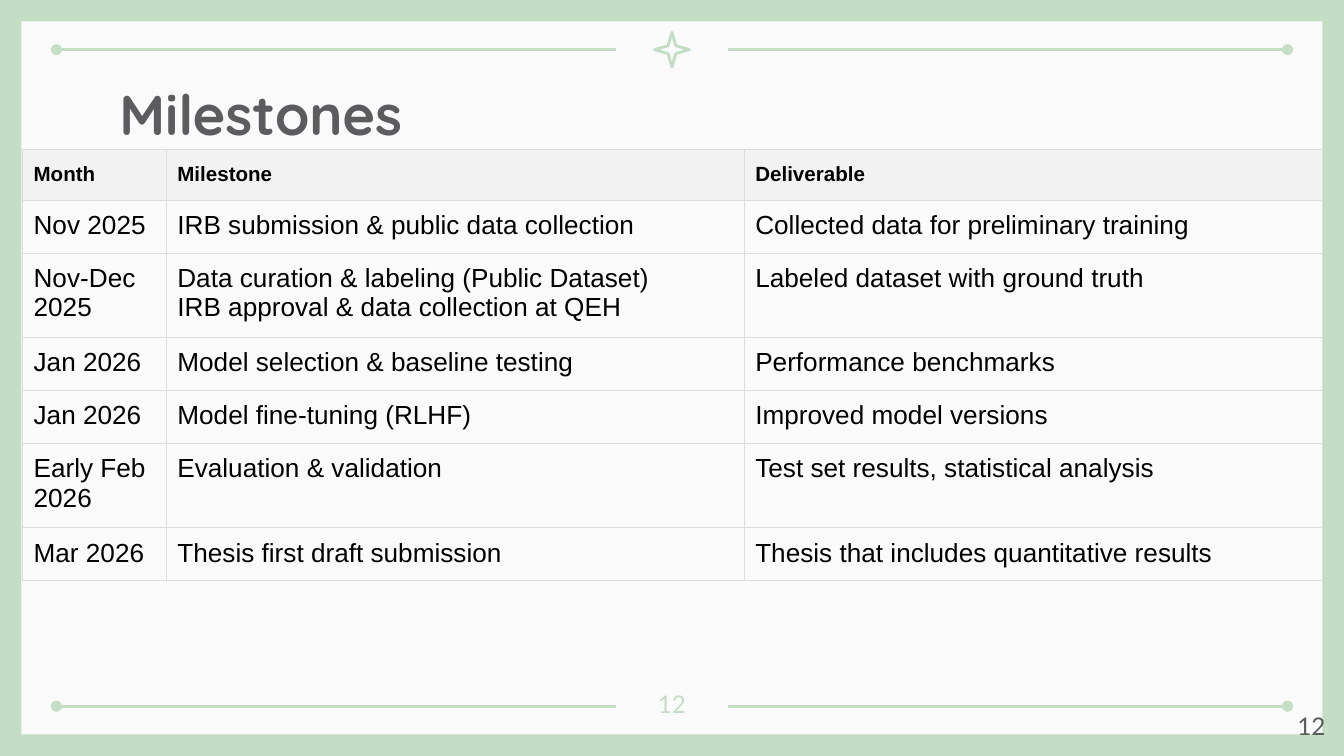
import pptx
import pptx.util
import pptx.dml.color
import pptx.enum.shapes
import pptx.enum.text
import pptx.oxml
import pptx.oxml.ns
from lxml import etree

Inches = pptx.util.Inches
Pt = pptx.util.Pt
RGBColor = pptx.dml.color.RGBColor
Shape = pptx.enum.shapes.MSO_SHAPE
Align = pptx.enum.text.PP_ALIGN
qn = pptx.oxml.ns.qn

SAGE = RGBColor(0xC4, 0xDD, 0xC5)
PAPER = RGBColor(0xFA, 0xFA, 0xFA)
GREY = RGBColor(0x5C, 0x5C, 0x5F)
BLACK = RGBColor(0, 0, 0)
HEADER_FILL = RGBColor(0xF2, 0xF2, 0xF2)
BORDER = RGBColor(0xDD, 0xDD, 0xDD)

WIDTH = 10
HEIGHT = WIDTH * 9 / 16
MARGIN = 0.16
PAGE = "12"

MILESTONES = [
    ("Month", "Milestone", "Deliverable"),
    ("Nov 2025", "IRB submission & public data collection",
     "Collected data for preliminary training"),
    ("Nov-Dec 2025",
     "Data curation & labeling (Public Dataset)\nIRB approval & data collection at QEH",
     "Labeled dataset with ground truth"),
    ("Jan 2026", "Model selection & baseline testing", "Performance benchmarks"),
    ("Jan 2026", "Model fine-tuning (RLHF)", "Improved model versions"),
    ("Early Feb 2026", "Evaluation & validation",
     "Test set results, statistical analysis"),
    ("Mar 2026", "Thesis first draft submission",
     "Thesis that includes quantitative results"),
]


def set_font(paragraph, name, size, color, bold=False):
    font = paragraph.font
    font.name, font.size, font.bold = name, Pt(size), bold
    font.color.rgb = color


def add_label(slide, box, text, font, size, color, bold=False, align=Align.LEFT):
    frame = slide.shapes.add_textbox(*map(Inches, box)).text_frame
    frame.word_wrap = True
    frame.margin_left = frame.margin_right = Inches(0.1)
    frame.margin_top = frame.margin_bottom = Inches(0.1)
    frame.text = text
    frame.paragraphs[0].alignment = align
    set_font(frame.paragraphs[0], font, size, color, bold)


def add_rule(slide, start, end, y, dot):
    """Horizontal line with a round dot at its outer end."""
    rule = slide.shapes.add_connector(
        pptx.enum.shapes.MSO_CONNECTOR.STRAIGHT,
        Inches(start), Inches(y), Inches(end), Inches(y))
    rule.line.color.rgb = SAGE
    rule.line.width = Pt(1.5)
    etree.SubElement(rule.line._get_or_add_ln(), qn(f"a:{dot}"), type="oval")
    etree.SubElement(rule._element.spPr, qn("a:effectLst"))


def add_rule_pair(slide, left, width, y):
    """Two mirrored rules with a gap in the middle of the given width."""
    length = 4.16
    add_rule(slide, left, left + length, y, "headEnd")
    add_rule(slide, left + width - length, left + width, y, "tailEnd")


def add_frame(slide, left, top, width, height):
    # Paper panel
    paper = slide.shapes.add_shape(
        Shape.RECTANGLE, *map(Inches, (left, top, width, height)))
    paper.shadow.inherit = False
    paper.fill.solid()
    paper.fill.fore_color.rgb = PAPER
    paper.line.fill.background()

    # Rules near the top and bottom edges
    for y in (top + 0.21, top + height - 0.21):
        add_rule_pair(slide, left + 0.26, width - 0.52, y)

    # Star in the gap of the top rule
    size = 0.26
    star = slide.shapes.add_shape(
        Shape.STAR_4_POINT, Inches(left + (width - size) / 2),
        Inches(top + 0.08), Inches(size), Inches(size))
    star.adjustments[0] = 0.157
    star.shadow.inherit = False
    star.fill.background()
    star.line.color.rgb = SAGE
    star.line.width = Pt(1.5)


def set_borders(cell):
    properties = cell._tc.get_or_add_tcPr()
    for index, side in enumerate(("lnL", "lnR", "lnT", "lnB")):
        line = etree.Element(qn(f"a:{side}"), w=str(Pt(0.75)))
        fill = etree.SubElement(line, qn("a:solidFill"))
        etree.SubElement(fill, qn("a:srgbClr"), val=str(BORDER))
        properties.insert(index, line)


def add_milestones(slide, left, top, width, height):
    row_height = 0.38
    month_width = 1.07
    text_width = (width - month_width) / 2
    holder = slide.shapes.add_table(
        len(MILESTONES), 3, *map(Inches, (left, top, width, height)))
    table = holder.table
    table.first_row = table.horz_banding = False
    for column, size in zip(table.columns, (month_width, text_width, text_width)):
        column.width = Inches(size)
    for r, entries in enumerate(MILESTONES):
        header = r == 0
        table.rows[r].height = Inches(row_height)
        for c, entry in enumerate(entries):
            cell = table.cell(r, c)
            cell.margin_left = cell.margin_right = Inches(0.08)
            cell.margin_top = cell.margin_bottom = Inches(0.08)
            cell.text = entry
            for paragraph in cell.text_frame.paragraphs:
                set_font(paragraph, "Arial", 11 if header else 14, BLACK, header)
                if header:
                    paragraph.line_spacing = 1.15
            if header:
                cell.fill.solid()
                cell.fill.fore_color.rgb = HEADER_FILL
            else:
                cell.fill.background()
            set_borders(cell)
    # Rows grow with their text, so the holder is taller than their sum
    holder.height = Inches(height)


def main():
    deck = pptx.Presentation()
    deck.slide_width, deck.slide_height = Inches(WIDTH), Inches(HEIGHT)
    slide = deck.slides.add_slide(deck.slide_layouts[6])
    slide.background.fill.solid()
    slide.background.fill.fore_color.rgb = SAGE

    add_frame(slide, MARGIN, MARGIN, WIDTH - 2 * MARGIN, HEIGHT - 2 * MARGIN)

    # Page numbers: corner and bottom centre
    add_label(slide, (9.36, 5.19, 0.6, 0.43), PAGE, "Lato", 13, GREY,
              align=Align.RIGHT)
    add_label(slide, (4.7, 5.03, 0.6, 0.36), PAGE, "Lato", 13, SAGE,
              align=Align.CENTER)

    add_milestones(slide, 0.17, 1.11, 9.67, 3.24)
    add_label(slide, (0.79, 0.49, 8.43, 0.63), "Milestones", "Quicksand", 30,
              GREY, bold=True)

    deck.save("out.pptx")


if __name__ == "__main__":
    main()
